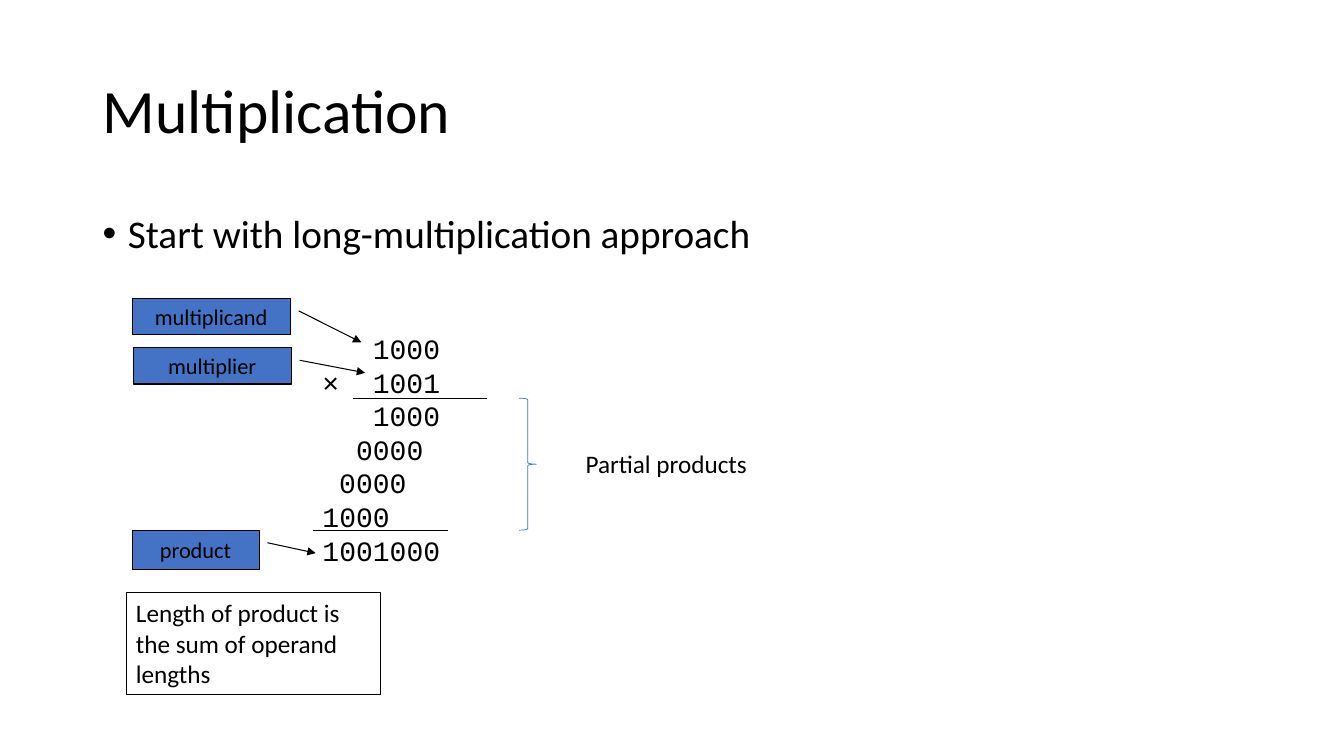
from typing import NamedTuple

from lxml import etree
from pptx import Presentation
from pptx import util as u
from pptx.dml.color import RGBColor
from pptx.enum import shapes, text
from pptx.oxml import ns

PX = 9144  # EMU in one px, 100 px to the inch
COLORS = {"ink": "000000", "blue": "4472C4"}
DIGIT_WIDTH = u.Pt(12)  # advance of one Courier New character at 20 pt


class Box(NamedTuple):
    left: int
    top: int
    width: int
    height: int


class Callout(NamedTuple):
    label: str
    box: Box
    pointer: tuple[float, ...]  # start y, start x, end y, end x


class TextBlock(NamedTuple):
    words: str
    box: Box
    size: int
    spacing: float = 1.0
    anchor: text.MSO_ANCHOR = text.MSO_ANCHOR.TOP
    bulleted: bool = False
    outlined: bool = False


class DigitRow(NamedTuple):
    digits: str
    shift: int  # columns from the left


class Rule(NamedTuple):
    start: int
    end: int
    y: int


CALLOUTS = [
    Callout("multiplicand", Box(131, 296, 157, 36), (0.346, 1.053, 1.216, 1.449)),
    Callout("multiplier", Box(132, 345, 157, 36), (0.346, 1.053, 0.692, 1.466)),
    Callout("product", Box(131, 526, 126, 39), (0.319, 1.066, 0.584, 1.446)),
]
TEXT_BLOCKS = [
    TextBlock("Multiplication", Box(92, 40, 1150, 145), 44, 0.9, text.MSO_ANCHOR.MIDDLE),
    TextBlock("Start with long-multiplication approach", Box(92, 208, 1150, 476), 28, 0.9,
              bulleted=True),
    TextBlock("Length of product is the sum of operand lengths", Box(125, 588, 252, 101), 18,
              outlined=True),
    TextBlock("Partial products", Box(571, 440, 284, 40), 18),
]
DIGIT_ROWS = [
    DigitRow("1000", 3),
    DigitRow("×\t1001", 0),
    DigitRow("1000", 3),
    DigitRow("0000", 2),
    DigitRow("0000", 1),
    DigitRow("1000", 0),
    DigitRow("1001000", 0),
]
RULES = [Rule(483, 350, 395), Rule(444, 310, 526)]


def color(name: str) -> RGBColor:
    return RGBColor.from_string(COLORS[name])


def place(box: Box) -> list[int]:
    return [length * PX for length in box]


def set_line(shape, name: str, width: float):
    shape.line.color.rgb = color(name)
    shape.line.width = u.Pt(width)


def add_run(paragraph, words: str, size: int, font: str = "Calibri"):
    run = paragraph.add_run()
    run.text = words
    run.font.size = u.Pt(size)
    run.font.name = font
    run.font.color.rgb = color("ink")


def add_text_block(slide, block: TextBlock):
    shape = slide.shapes.add_textbox(*place(block.box))
    frame = shape.text_frame
    frame.word_wrap = True
    frame.vertical_anchor = block.anchor
    paragraph = frame.paragraphs[0]
    paragraph.line_spacing = block.spacing
    add_run(paragraph, block.words, block.size)
    if block.bulleted:
        paragraph.space_before = u.Pt(10)
        properties = paragraph._p.get_or_add_pPr()
        properties.set("marL", str(25 * PX))
        properties.set("indent", str(-25 * PX))
        etree.SubElement(properties, ns.qn("a:buFont")).set("typeface", "Arial")
        etree.SubElement(properties, ns.qn("a:buChar")).set("char", "•")
    if block.outlined:
        set_line(shape, "ink", 0.75)


def add_callout(slide, callout: Callout):
    shape = slide.shapes.add_shape(shapes.MSO_SHAPE.LINE_CALLOUT_1, *place(callout.box))
    shape.shadow.inherit = False
    for index, value in enumerate(callout.pointer):
        shape.adjustments[index] = value
    shape.fill.solid()
    shape.fill.fore_color.rgb = color("blue")
    set_line(shape, "ink", 0.75)
    etree.SubElement(shape.line._get_or_add_ln(), ns.qn("a:tailEnd")).set("type", "triangle")
    shape.text_frame.vertical_anchor = text.MSO_ANCHOR.MIDDLE
    paragraph = shape.text_frame.paragraphs[0]
    paragraph.alignment = text.PP_ALIGN.CENTER
    add_run(paragraph, callout.label, 16)


def add_long_multiplication(slide, box: Box, rows: list[DigitRow]):
    frame = slide.shapes.add_textbox(*place(box)).text_frame
    frame.word_wrap = True
    for index, row in enumerate(rows):
        paragraph = frame.add_paragraph() if index else frame.paragraphs[0]
        properties = paragraph._p.get_or_add_pPr()
        properties.set("marL", str(row.shift * DIGIT_WIDTH))
        properties.set("indent", "0")
        if "\t" in row.digits:
            tabs = etree.SubElement(properties, ns.qn("a:tabLst"))
            tab = etree.SubElement(tabs, ns.qn("a:tab"))
            tab.set("pos", str(3 * DIGIT_WIDTH))
            tab.set("algn", "l")
        add_run(paragraph, row.digits, 20, "Courier New")


def add_rule(slide, rule: Rule):
    connector = slide.shapes.add_connector(
        shapes.MSO_CONNECTOR.STRAIGHT,
        rule.start * PX, rule.y * PX, rule.end * PX, rule.y * PX)
    set_line(connector, "ink", 0.75)
    etree.SubElement(connector._element.spPr, ns.qn("a:effectLst"))


def add_brace(slide, box: Box):
    brace = slide.shapes.add_shape(shapes.MSO_SHAPE.RIGHT_BRACE, *place(box))
    brace.shadow.inherit = False
    brace.fill.background()
    set_line(brace, "blue", 0.5)


def main():
    presentation = Presentation()
    presentation.slide_width = 1333 * PX
    presentation.slide_height = 750 * PX
    slide = presentation.slides.add_slide(presentation.slide_layouts[6])

    # Title, bullet, note and brace label
    for block in TEXT_BLOCKS:
        add_text_block(slide, block)

    # Worked multiplication with its named parts
    for callout in CALLOUTS:
        add_callout(slide, callout)
    add_long_multiplication(slide, Box(310, 324, 140, 243), DIGIT_ROWS)
    for rule in RULES:
        add_rule(slide, rule)
    add_brace(slide, Box(515, 395, 17, 131))

    presentation.save("out.pptx")


if __name__ == "__main__":
    main()
